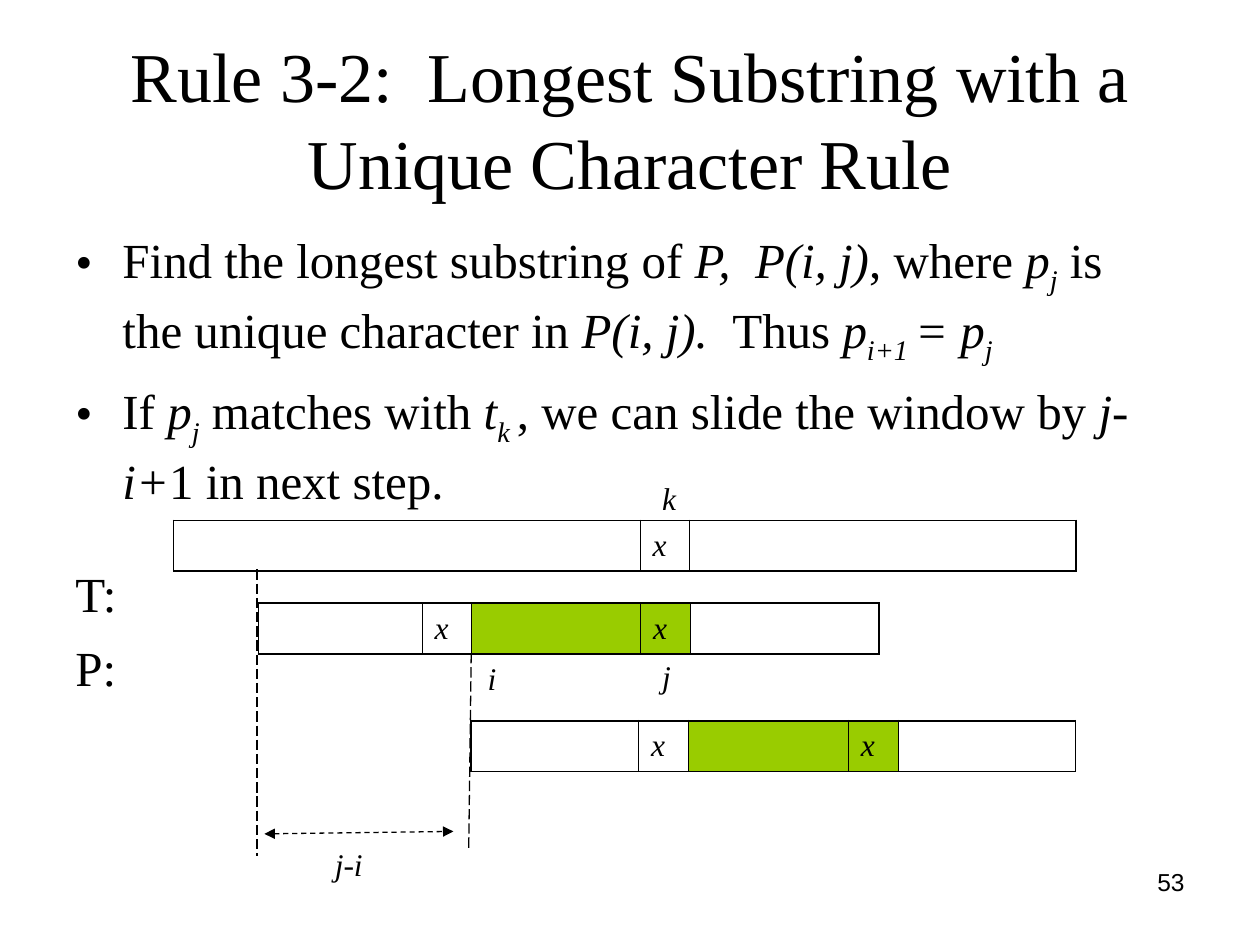
import pptx
import pptx.util
import pptx.dml.color
import pptx.enum.dml
import pptx.enum.shapes
import pptx.enum.text
import pptx.oxml.ns
import lxml.etree

Cm, Pt = pptx.util.Cm, pptx.util.Pt
ALIGN = pptx.enum.text.PP_ALIGN
DASH = pptx.enum.dml.MSO_LINE
BLACK, GREEN = "000000", "99CC00"
SERIF = "Times New Roman"
LEAD = 1.04

# Runs are (text, style): "" plain, "i" italic, "s" italic subscript.
BULLETS = [
    [("Find the longest substring of ", ""), ("P, ", "i"), (" ", ""),
     ("P(i, j)", "i"), (", where ", ""), ("p", "i"), ("j", "s"),
     (" is the unique character in ", ""), ("P(i, j).  ", "i"),
     ("Thus ", ""), ("p", "i"), ("i+1 ", "s"), ("= p", "i"), ("j", "s")],
    [("If ", ""), ("p", "i"), ("j", "s"), (" matches with ", ""),
     ("t", "i"), ("k ", "s"), (", we can slide the window by ", ""),
     ("j-i+", "i"), ("1 in next step.", "")],
]

# Cells are (width in cm, text, fill).
TEXT_BAR = [(9.4, "", None), (0.99, "x", None), (7.8, "", None)]
PAT_BAR = [(3.3, "", None), (1, "x", None), (3.4, "", GREEN),
           (1, "x", GREEN), (3.81, "", None)]
NEXT_BAR = [(3.37, "", None), (1, "x", None), (3.23, "", GREEN),
            (1, "x", GREEN), (3.58, "", None)]

# Labels are (text, left, top, width) in cm.
LABELS = [("k", 13.1, 9.53, 0.74), ("i", 9.58, 13.16, 0.74),
          ("j", 13.1, 13.13, 0.74), ("j-i", 6.5, 16.92, 1.78)]


def color(code):
    return pptx.dml.color.RGBColor.from_string(code)


def sub(parent, tag, **attrs):
    return lxml.etree.SubElement(parent, pptx.oxml.ns.qn(tag), attrs)


def style(run, size, font=SERIF, italic=False):
    run.font.size = Pt(size)
    run.font.name = font
    run.font.italic = italic
    run.font.color.rgb = color(BLACK)


def add_box(slide, left, top, width, height):
    box = slide.shapes.add_textbox(Cm(left), Cm(top), Cm(width), Cm(height))
    box.text_frame.word_wrap = True
    return box.text_frame


def add_label(slide, text, left, top, width):
    frame = add_box(slide, left, top, width, 1.02)
    frame.text = text
    style(frame.paragraphs[0].runs[0], 18, italic=True)


def add_title(slide, text):
    title = slide.shapes.title
    title.left, title.top = Cm(1.27), Cm(0.76)
    title.width, title.height = Cm(22.86), Cm(3.18)
    frame = title.text_frame
    frame.text = text
    frame.vertical_anchor = pptx.enum.text.MSO_ANCHOR.MIDDLE
    para = frame.paragraphs[0]
    para.alignment = ALIGN.CENTER
    para.line_spacing = LEAD
    style(para.runs[0], 40)


def add_para(frame, runs, gap, bullet=False):
    """Fill the first paragraph of the frame, or add one after a gap."""
    if frame.text:
        para = frame.add_paragraph()
        para.space_before = Pt(gap)
    else:
        para = frame.paragraphs[0]
    para.line_spacing = LEAD
    props = para._p.get_or_add_pPr()
    props.set("marL", str(Cm(0.95)))
    props.set("indent", str(-Cm(0.95)))
    if bullet:
        sub(props, "a:buFont", typeface=SERIF)
        sub(props, "a:buChar", char="•")
    else:
        sub(props, "a:buNone")
    for text, kind in runs:
        run = para.add_run()
        run.text = text
        style(run, 28, italic=kind != "")
        if kind == "s":
            run._r.get_or_add_rPr().set("baseline", "-25000")


def add_body(slide):
    frame = add_box(slide, 1.27, 4.45, 21.84, 13.49)
    for runs in BULLETS:
        add_para(frame, runs, 7, bullet=True)
    add_para(frame, [("T:", "")], 30)
    add_para(frame, [("P:", "")], 7)


def set_edge(cell, side, width):
    edge = sub(cell._tc.get_or_add_tcPr(), "a:ln" + side, w=str(Pt(width)))
    sub(sub(edge, "a:solidFill"), "a:srgbClr", val=BLACK)


def add_bar(slide, left, top, cells):
    """Draw a string as a one-row table with thick outer edges."""
    high = Cm(1.02)
    total = sum(width for width, _, _ in cells)
    table = slide.shapes.add_table(
        1, len(cells), Cm(left), Cm(top), Cm(total), high).table
    table.first_row = table.horz_banding = False
    table.rows[0].height = high
    last = len(cells) - 1
    for col, (width, text, fill) in enumerate(cells):
        table.columns[col].width = Cm(width)
        cell = table.cell(0, col)
        cell.margin_top = cell.margin_bottom = 0
        cell.vertical_anchor = pptx.enum.text.MSO_ANCHOR.MIDDLE
        set_edge(cell, "L", 1.08 if col == 0 else 0.45)
        set_edge(cell, "R", 1.08 if col == last else 0.45)
        set_edge(cell, "T", 1.08)
        set_edge(cell, "B", 1.08)
        if fill:
            cell.fill.solid()
            cell.fill.fore_color.rgb = color(fill)
        else:
            cell.fill.background()
        if text:
            cell.text_frame.text = text
            style(cell.text_frame.paragraphs[0].runs[0], 18, italic=True)


def add_line(slide, start, end, dash, arrows=False):
    line = slide.shapes.add_connector(
        pptx.enum.shapes.MSO_CONNECTOR.STRAIGHT,
        Cm(start[0]), Cm(start[1]), Cm(end[0]), Cm(end[1]))
    line.line.color.rgb = color(BLACK)
    line.line.width = Pt(0.75)
    line.line.dash_style = dash
    if arrows:
        for tag in ("a:headEnd", "a:tailEnd"):
            sub(line.line._get_or_add_ln(), tag, type="triangle")
    sub(line._element.spPr, "a:effectLst")


def add_number(slide, text):
    frame = add_box(slide, 18.2, 17.35, 5.93, 1.32)
    frame.text = text
    frame.paragraphs[0].alignment = ALIGN.RIGHT
    style(frame.paragraphs[0].runs[0], 14, "Arial")


def main():
    deck = pptx.Presentation()
    deck.slide_width, deck.slide_height = Cm(25.4), Cm(19.05)
    slide = deck.slides.add_slide(deck.slide_layouts[5])
    add_title(slide, "Rule 3-2:  Longest Substring with a "
                     "Unique Character Rule")
    add_body(slide)
    add_bar(slide, 3.5, 10.49, TEXT_BAR)
    add_bar(slide, 5.21, 12.16, PAT_BAR)
    add_line(slide, (5.18, 11.48), (5.18, 17.25), DASH.LONG_DASH)
    add_line(slide, (9.45, 17.09), (9.5, 13.11), DASH.LONG_DASH)
    add_line(slide, (5.33, 16.81), (9.14, 16.76), DASH.DASH, arrows=True)
    add_bar(slide, 9.5, 14.53, NEXT_BAR)
    for label in LABELS:
        add_label(slide, *label)
    add_number(slide, "53")
    deck.save("out.pptx")


if __name__ == "__main__":
    main()
